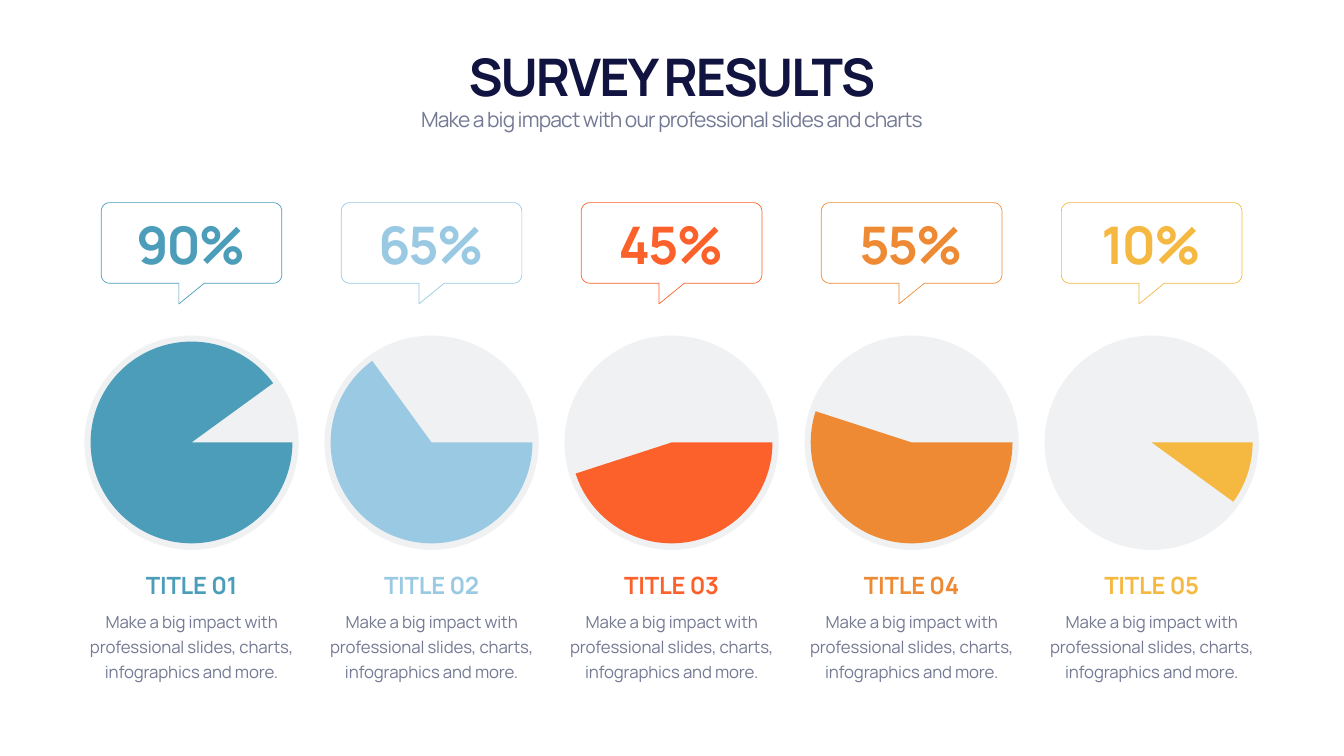
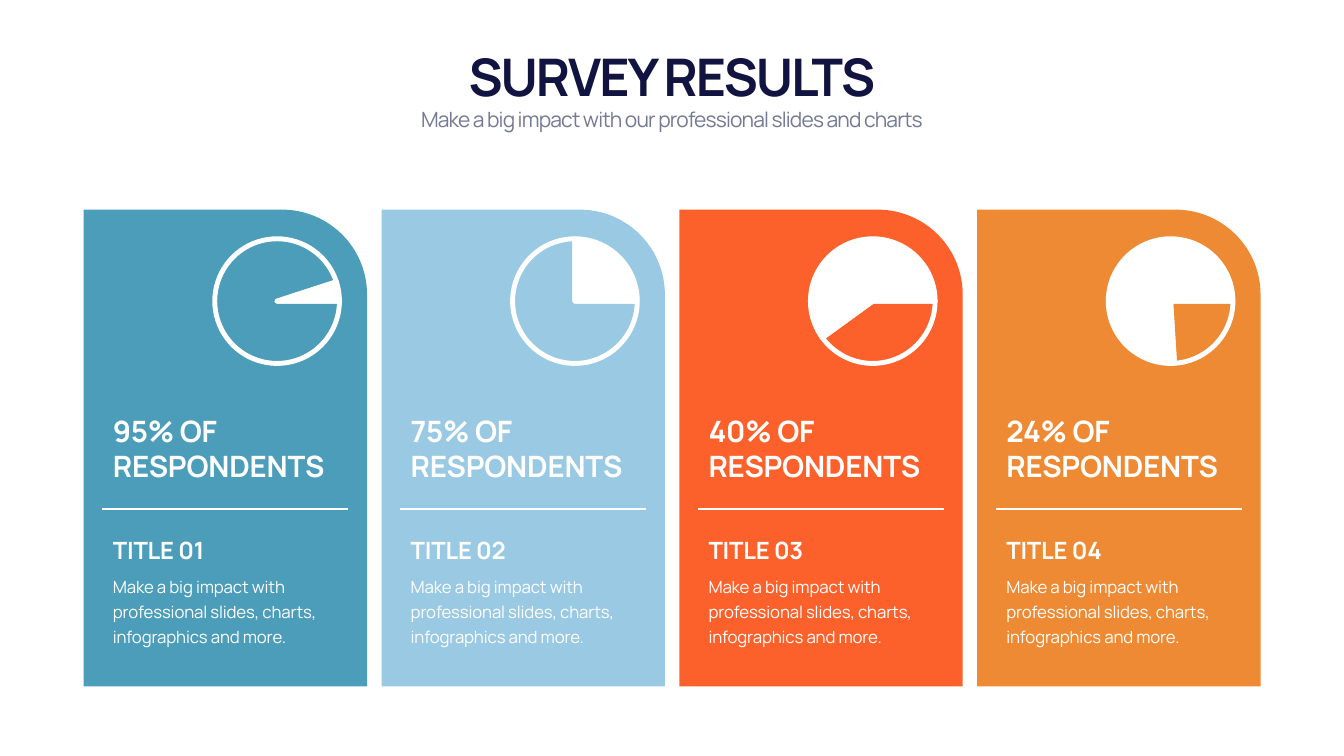
from math import cos, pi, sin

from lxml.etree import SubElement
from pptx import Presentation
from pptx.chart.data import CategoryChartData
from pptx.dml.color import RGBColor
from pptx.enum.chart import XL_CHART_TYPE
from pptx.enum.shapes import MSO_CONNECTOR, MSO_SHAPE
from pptx.enum.text import MSO_ANCHOR, MSO_AUTO_SIZE, PP_ALIGN
from pptx.oxml import parse_xml
from pptx.oxml.ns import nsdecls, qn
from pptx.util import Inches, Pt

WIDE, HIGH = Inches(26.66), Inches(15)
FONT = "Manrope"
NAVY, GREY, PALE, WHITE = "111340", "747994", "C3C8CE", "FFFFFF"
HUES = ["4B9DB9", "9AC9E3", "FC612B", "ED8A33", "F5B841"]
BLURB = "Make a big impact with professional slides, charts, infographics and more."
TITLE = (6.23, 5.47, 87.51, 9)
TAGLINE = (6.23, 13.8, 87.51, 4.07)


def color(code):
    """Turn a hex string into a colour."""
    return RGBColor.from_string(code)


def across(share):
    """Length of a percentage of the slide's width."""
    return int(WIDE * share / 100)


def down(share):
    """Length of a percentage of the slide's height."""
    return int(HIGH * share / 100)


def place(box):
    """Turn left, top, width and height in percent into lengths."""
    x, y, w, h = box
    return across(x), down(y), across(w), down(h)


def mid(center, top, width, height):
    """Box centred on a column."""
    return center - width / 2, top, width, height


def write(shape, text, size, hue, bold=False, gap=-0.3, align=PP_ALIGN.CENTER,
          anchor=MSO_ANCHOR.TOP, lead=None):
    """Fill a shape with one formatted paragraph."""
    frame = shape.text_frame
    frame.text = text
    frame.word_wrap = True
    frame.auto_size = MSO_AUTO_SIZE.SHAPE_TO_FIT_TEXT
    frame.vertical_anchor = anchor
    para = frame.paragraphs[0]
    para.alignment = align
    if lead:
        para.line_spacing = Pt(lead)
    run = para.runs[0]
    run.font.name, run.font.size, run.font.bold = FONT, Pt(size), bold
    run.font.color.rgb = color(hue)
    run._r.get_or_add_rPr().set("spc", str(round(gap * 100)))


def label(slide, box, text, size, hue, **style):
    """Add a text box."""
    write(slide.shapes.add_textbox(*place(box)), text, size, hue, **style)


def heading(slide):
    """Set the title and the tagline."""
    title = slide.shapes.title
    title.left, title.top, title.width, title.height = place(TITLE)
    write(title, "SURVEY RESULTS", 74, NAVY, bold=True, gap=-2.9, anchor=MSO_ANCHOR.BOTTOM)
    label(slide, TAGLINE, "Make a big impact with our professional slides and charts",
          30, GREY, gap=-1.2)


def caption(slide, x, top, width, number, hue, ink, align):
    """Add a numbered title with its blurb below."""
    label(slide, (x, top, width, 4.47), f"TITLE {number:02}", 34, hue, bold=True,
          align=align, anchor=MSO_ANCHOR.BOTTOM)
    label(slide, (x, top + 4.8, width, 10.6), BLURB, 24, ink, gap=-0.2, align=align, lead=36)


def solid(slide, kind, box, hue, alpha=None):
    """Add a preset shape with a plain fill."""
    shape = slide.shapes.add_shape(kind, *place(box))
    shape.shadow.inherit = False
    shape.fill.solid()
    shape.fill.fore_color.rgb = color(hue)
    shape.line.fill.background()
    if alpha:
        tint = shape._element.spPr.find(".//" + qn("a:srgbClr"))
        SubElement(tint, qn("a:alpha")).set("val", str(alpha * 1000))
    return shape


def bubble(slide, box, hue):
    """Outline a rounded speech bubble with a tail below."""
    x, y, w, h = place(box)
    r = Inches(0.17)
    right, foot = x + w, y + h
    hubs = [(right - r, y + r, -90), (right - r, foot - r, 0),
            (x + r, foot - r, 90), (x + r, y + r, 180)]
    arcs = [[(cx + r * cos(a * pi / 180), cy + r * sin(a * pi / 180))
             for a in range(start, start + 91, 10)] for cx, cy, start in hubs]
    tail = [(x + w * 0.57, foot), (x + w * 0.43, foot + Inches(0.41)), (x + w * 0.43, foot)]
    points = arcs[0] + arcs[1] + tail + arcs[2] + arcs[3]
    form = slide.shapes.build_freeform(*map(round, points[0]))
    form.add_line_segments([(round(px), round(py)) for px, py in points[1:]], close=True)
    shape = form.convert_to_shape()
    shape.shadow.inherit = False
    shape.fill.background()
    shape.line.color.rgb = color(hue)
    shape.line.width = Pt(1)


def rule(slide, x, y, width):
    """Draw a white level line."""
    line = slide.shapes.add_connector(MSO_CONNECTOR.STRAIGHT, across(x), down(y),
                                      across(x + width), down(y))
    line.line.color.rgb = color(WHITE)
    line.line.width = Pt(2.4)
    SubElement(line._element.spPr, qn("a:effectLst"))


def pie(slide, box, value, fills, size, edge=None):
    """Add a two-part pie that starts at three o'clock."""
    data = CategoryChartData()
    data.categories = ["1", "2"]
    data.add_series("Series 1", [value, 100 - value])
    chart = slide.shapes.add_chart(XL_CHART_TYPE.PIE, *place(box), data).chart
    chart.has_legend = chart.has_title = False
    chart.font.name, chart.font.size = "Calibri", Pt(10)
    chart.font.color.rgb = color(GREY)
    plot = chart.plots[0]
    plot.vary_by_categories = False
    for k, hue in enumerate(fills):
        form = plot.series[0].points[k].format
        if hue:
            form.fill.solid()
            form.fill.fore_color.rgb = color(hue)
        else:
            form.fill.background()
        if edge:
            form.line.color.rgb = color(WHITE)
            form.line.width = Pt(edge)
        else:
            form.line.fill.background()
    area = chart._chartSpace.find(".//" + qn("c:plotArea"))
    SubElement(area.find(qn("c:pieChart")), qn("c:firstSliceAng")).set("val", "90")
    for old in area.findall(qn("c:layout")):
        area.remove(old)
    inset = (1 - size) / 2
    spots = "".join(f'<c:{tag} val="{val:.3f}"/>' for tag, val in
                    [("x", inset), ("y", inset), ("w", size), ("h", size)])
    area.insert(0, parse_xml(
        f'<c:layout {nsdecls("c")}><c:manualLayout><c:layoutTarget val="inner"/>'
        f'<c:xMode val="edge"/><c:yMode val="edge"/>{spots}</c:manualLayout></c:layout>'))


def bubbles(slide):
    """Build five columns of bubble, pie and caption."""
    heading(slide)
    for i, (value, hue) in enumerate(zip([90, 65, 45, 55, 10], HUES)):
        x = 14.25 + 17.86 * i
        solid(slide, MSO_SHAPE.OVAL, mid(x, 44.4, 15.94, 28.33), PALE, alpha=25)
        bubble(slide, mid(x, 26.8, 13.44, 10.67), hue)
        pie(slide, mid(x, 44.33, 15.98, 28.4), value, [hue, None], 0.94)
        label(slide, mid(x - 0.05, 27.8, 12.27, 9), f"{value}%", 74, hue, bold=True,
              gap=-2.9, anchor=MSO_ANCHOR.MIDDLE)
        caption(slide, x - 8.47, 75.13, 16.95, i + 1, hue, GREY, PP_ALIGN.CENTER)


def cards(slide):
    """Build four coloured cards with a pie each."""
    heading(slide)
    for i, (value, hue) in enumerate(zip([95, 75, 40, 24], HUES)):
        x = 6.23 + 22.16 * i
        card = solid(slide, MSO_SHAPE.ROUND_1_RECTANGLE, (x, 27.73, 21.08, 63.07), hue)
        card.adjustments[0] = 0.3
        rule(slide, x + 1.39, 67.3, 18.3)
        label(slide, (x + 1.8, 54.2, 18.04, 10.07), f"{value}% OF RESPONDENTS", 42, WHITE,
              bold=True, align=PP_ALIGN.LEFT, anchor=MSO_ANCHOR.BOTTOM)
        caption(slide, x + 1.8, 70.47, 18.04, i + 1, WHITE, WHITE, PP_ALIGN.LEFT)
        pie(slide, (x + 9.23, 30.67, 10.32, 18.33), value, [None, WHITE], 0.9, edge=7)


def main():
    """Build and save the deck."""
    deck = Presentation()
    deck.slide_width, deck.slide_height = WIDE, HIGH
    for build in (bubbles, cards):
        build(deck.slides.add_slide(deck.slide_layouts[5]))
    deck.save("out.pptx")


if __name__ == "__main__":
    main()
